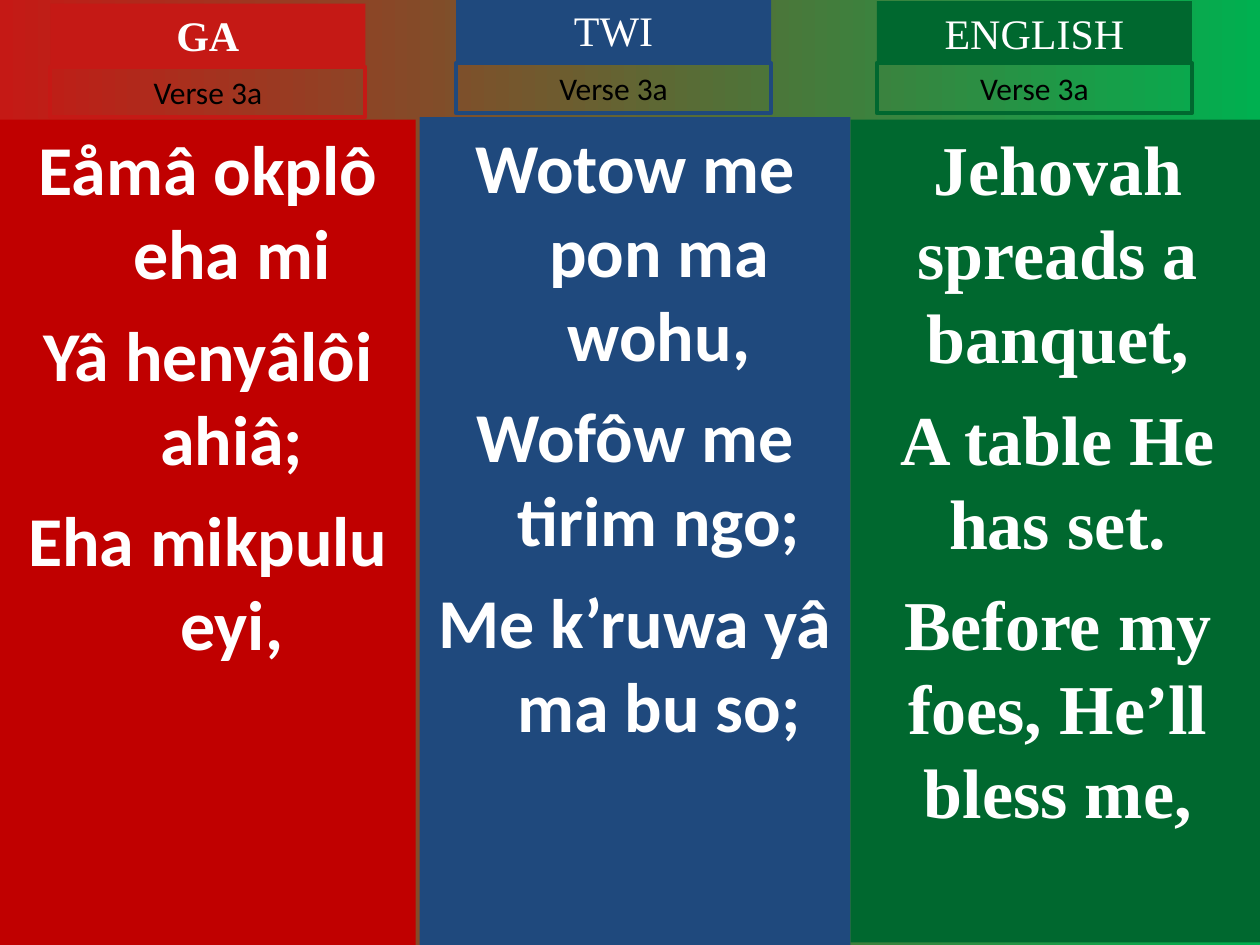
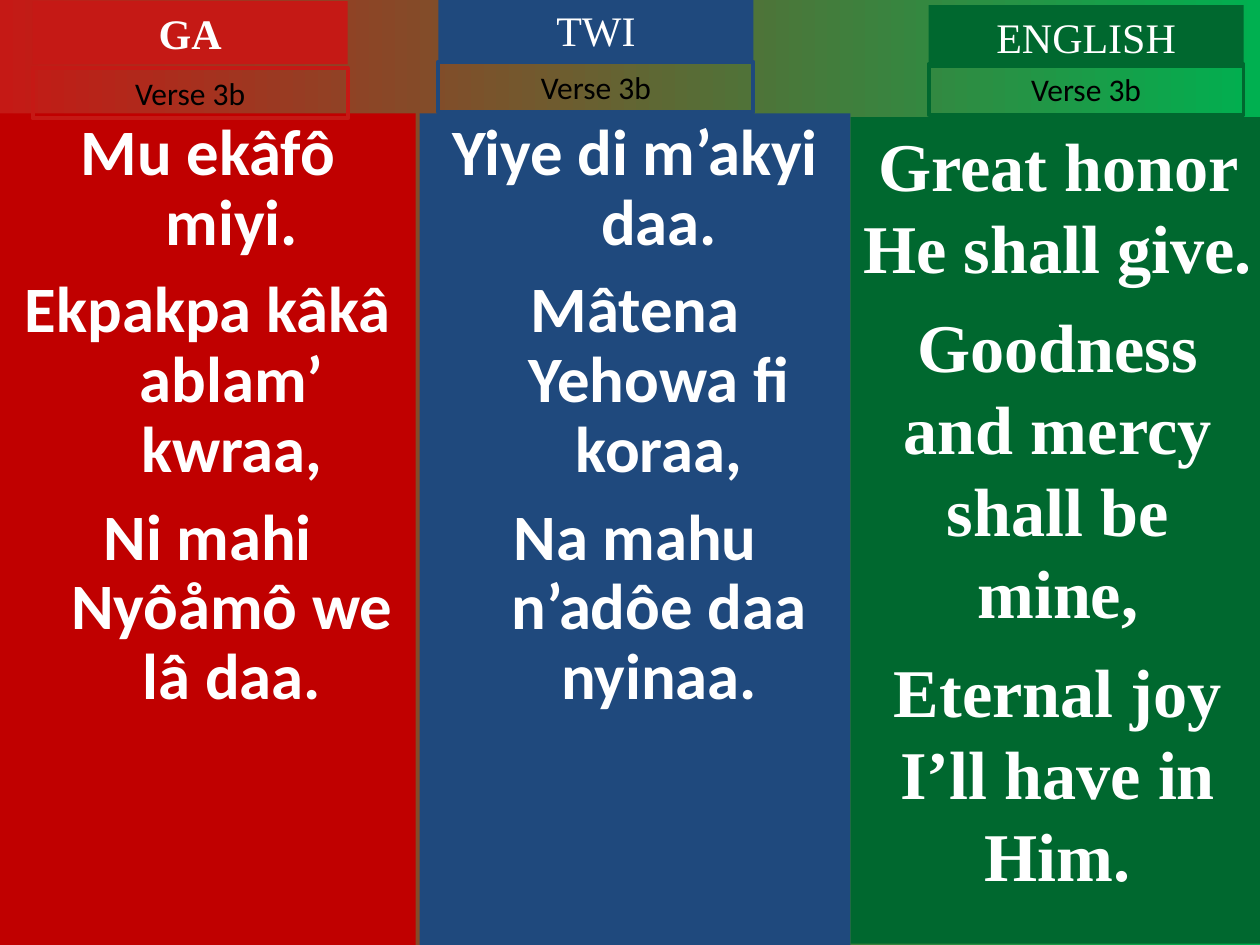
from dataclasses import dataclass
from pptx import Presentation
from pptx.dml.color import RGBColor
from pptx.enum.shapes import MSO_SHAPE
from pptx.enum.text import MSO_ANCHOR, MSO_AUTO_SIZE, PP_ALIGN
from pptx.util import Inches, Pt

COLUMNS, ROWS = 100, 75


@dataclass(frozen=True)
class Theme:
    red: str = "C51915"
    deep_red: str = "C00000"
    blue: str = "1F497D"
    green: str = "00682F"
    bright_green: str = "00B050"
    white: str = "FFFFFF"
    black: str = "000000"
    sans: str = "Calibri"
    serif: str = "Times New Roman"
    heading: int = 24
    verse: int = 18
    border: float = 2.25
    hanging: float = 0.38


@dataclass(frozen=True)
class Language:
    name: str
    tag_color: str
    panel_color: str
    font: str
    left: float
    width: float
    bold_name: bool = False
    hanging: bool = False


@dataclass(frozen=True)
class Column:
    lines: tuple
    size: int
    panel_top: float
    panel_height: float
    tag_left: float
    name_top: float
    verse_top: float
    before: float = 10
    spacing: float = 1.0


THEME = Theme()

LANGUAGES = (
    Language("GA", THEME.red, THEME.deep_red, THEME.sans, 0, 33, bold_name=True, hanging=True),
    Language("TWI", THEME.blue, THEME.blue, THEME.sans, 33.3, 34.2, hanging=True),
    Language("ENGLISH", THEME.green, THEME.green, THEME.serif, 67.5, 32.9),
)

VERSES = {
    "Verse 3a": (
        Column(("Eåmâ okplô eha mi", "Yâ henyâlôi ahiâ;", "Eha mikpulu eyi,"),
               40, 9.5, 65.5, 4, 0.3, 5.3),
        Column(("Wotow me pon ma wohu,", "Wofôw me tirim ngo;", "Me k’ruwa yâ ma bu so;"),
               40, 9.3, 65.7, 36.2, -0.1, 5),
        Column(("Jehovah spreads a banquet,", "A table He has set.",
                "Before my foes, He’ll bless me,"),
               40, 9.5, 65.3, 69.6, 0.1, 5),
    ),
    "Verse 3b": (
        Column(("Mu ekâfô miyi.", "Ekpakpa kâkâ ablam’ kwraa,", "Ni mahi Nyôåmô we lâ daa."),
               37, 9, 66, 2.6, 0.1, 5.4, spacing=0.9),
        Column(("Yiye di m’akyi daa.", "Mâtena Yehowa fi koraa,", "Na mahu n’adôe daa nyinaa."),
               37, 9, 66, 34.8, -0.1, 4.9, spacing=0.9),
        Column(("Great honor He shall give.", "Goodness and mercy shall be mine,",
                "Eternal joy I’ll have in Him."),
               39, 9.3, 65.6, 73.7, 0.4, 5.1, before=9.8),
    ),
}


def rgb(color):
    return RGBColor.from_string(color)


def paint_background(prs, s):
    fill = s.background.fill
    fill.gradient()
    fill.gradient_angle = 0
    for stop, color in zip(fill.gradient_stops, (THEME.red, THEME.bright_green)):
        stop.color.rgb = rgb(color)


def add_box(prs, s, left, top, width, height, fill=None, line=None):
    col, row = prs.slide_width / COLUMNS, prs.slide_height / ROWS
    sp = s.shapes.add_shape(MSO_SHAPE.RECTANGLE, round(left * col), round(top * row),
                            round(width * col), round(height * row))
    sp.shadow.inherit = False
    if fill:
        sp.fill.solid()
        sp.fill.fore_color.rgb = rgb(fill)
    else:
        sp.fill.background()
    if line:
        sp.line.color.rgb = rgb(line)
        sp.line.width = Pt(THEME.border)
    else:
        sp.line.fill.background()
    tf = sp.text_frame
    tf.word_wrap = True
    tf.vertical_anchor = MSO_ANCHOR.TOP
    return tf


def write(tf, lines, font, size, color, bold=False):
    tf.text = "\n".join(lines)
    for p in tf.paragraphs:
        p.alignment = PP_ALIGN.CENTER
        for r in p.runs:
            r.font.name = font
            r.font.size = Pt(size)
            r.font.bold = bold
            r.font.color.rgb = rgb(color)


def add_panel(prs, s, language, column):
    tf = add_box(prs, s, language.left, column.panel_top, language.width,
                 column.panel_height, fill=language.panel_color)
    write(tf, column.lines, language.font, column.size, THEME.white, bold=True)
    for i, p in enumerate(tf.paragraphs):
        p.line_spacing = column.spacing
        p.space_before = Pt(column.before if i else 0)
        if language.hanging:
            pPr = p._p.get_or_add_pPr()
            pPr.set("marL", str(Inches(THEME.hanging)))
            pPr.set("indent", str(-Inches(THEME.hanging)))


def add_tag(prs, s, left, top, height, text, font, size, color, bold=False, **paint):
    tf = add_box(prs, s, left, top, 25, height, **paint)
    write(tf, [text], font, size, color, bold)
    tf.auto_size = MSO_AUTO_SIZE.SHAPE_TO_FIT_TEXT


def add_verse_slide(prs, verse, columns):
    s = prs.slides.add_slide(prs.slide_layouts[6])
    paint_background(prs, s)
    for language, column in zip(LANGUAGES, columns):
        add_panel(prs, s, language, column)
        add_tag(prs, s, column.tag_left, column.name_top, 5, language.name, THEME.serif,
                THEME.heading, THEME.white, language.bold_name, fill=language.tag_color)
        add_tag(prs, s, column.tag_left, column.verse_top, 4, verse, THEME.sans,
                THEME.verse, THEME.black, line=language.tag_color)


def main():
    prs = Presentation()
    prs.slide_width, prs.slide_height = Inches(10), Inches(7.5)
    for verse, columns in VERSES.items():
        add_verse_slide(prs, verse, columns)
    prs.save("out.pptx")


if __name__ == "__main__":
    main()
